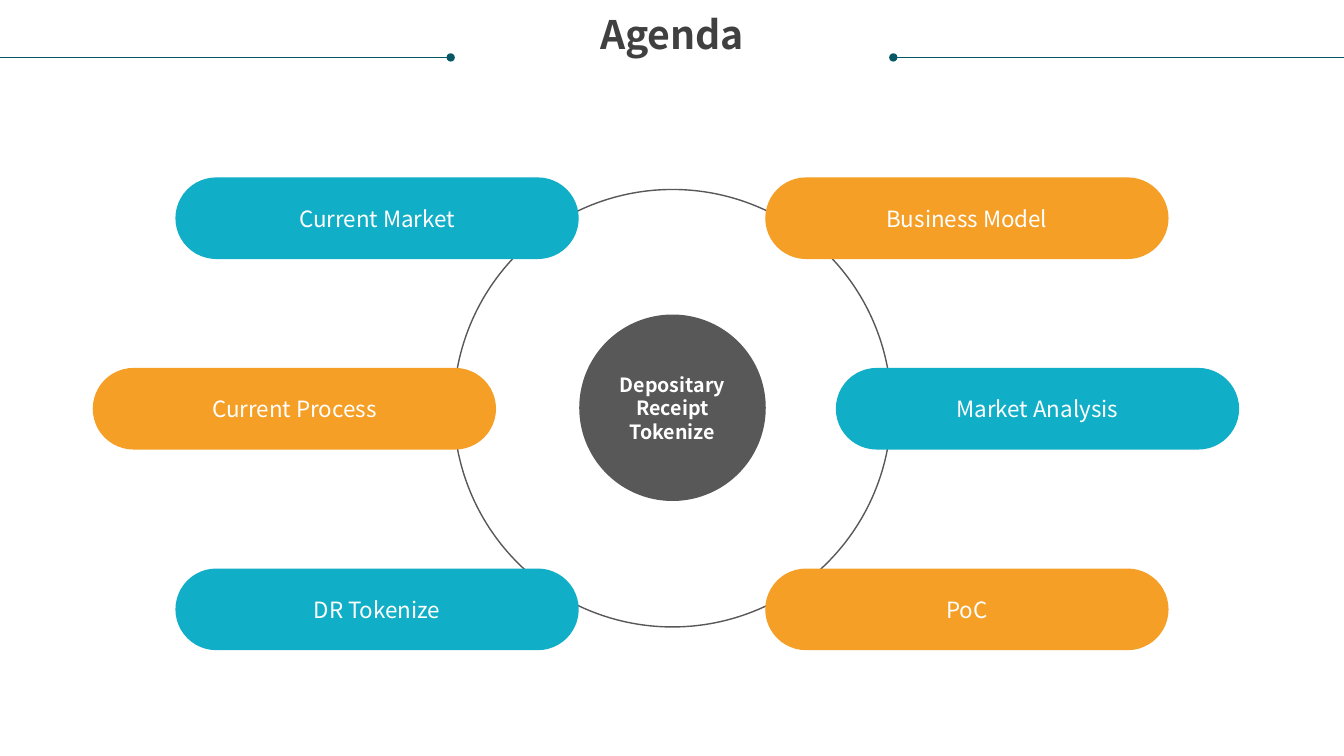
from dataclasses import dataclass

from pptx import Presentation
from pptx.dml.color import RGBColor
from pptx.enum import shapes, text
from pptx.oxml import ns, xmlchemy as xc
from pptx.util import Inches, Pt


@dataclass(frozen=True)
class Theme:
    """Colours, font and type sizes of the slide."""
    font: str = "Noto Sans CJK SC"
    title: str = "404040"
    rule: str = "085764"
    grey: str = "585858"
    teal: str = "11AEC7"
    orange: str = "F59F26"
    white: str = "FFFFFF"
    title_size: int = 28
    hub_size: int = 14
    pill_size: int = 16


THEME = Theme()
CENTRE_X = 6.67
PILL_W, PILL_H = 4, 0.81
ROWS = [
    (1.76, 1.74, 7.59, "Current Market", "Business Model"),
    (3.65, 0.92, 8.29, "Current Process", "Market Analysis"),
    (5.64, 1.74, 7.59, "DR Tokenize", "PoC"),
]


def write(tf, words, size, color, bold=False):
    """Put one centred, formatted line of words in a text frame."""
    tf.word_wrap = True
    p = tf.paragraphs[0]
    p.alignment = text.PP_ALIGN.CENTER
    r = p.add_run()
    r.text = words
    r.font.color.rgb = RGBColor.from_string(color)
    for name, value in {"name": THEME.font, "size": Pt(size), "bold": bold}.items():
        setattr(r.font, name, value)
    return p


def add_title(s, words):
    """Move and format the title placeholder."""
    sp = s.shapes.title
    box = {"left": 0.25, "top": 0.15, "width": 12.83, "height": 0.85}
    for name, value in box.items():
        setattr(sp, name, Inches(value))
    tf = sp.text_frame
    for side in ("left", "top", "right", "bottom"):
        setattr(tf, f"margin_{side}", 0)
    tf.vertical_anchor = text.MSO_ANCHOR.TOP
    tf.auto_size = text.MSO_AUTO_SIZE.NONE
    p = write(tf, words, THEME.title_size, THEME.title, True)
    p.line_spacing = 0.9


def add_shape(s, kind, x, y, w, h, fill=None, line=None):
    """Add a flat preset shape with an optional fill and outline."""
    sp = s.shapes.add_shape(kind, Inches(x), Inches(y), Inches(w), Inches(h))
    sp.shadow.inherit = False
    if fill:
        sp.fill.solid()
        sp.fill.fore_color.rgb = RGBColor.from_string(fill)
    else:
        sp.fill.background()
    if line:
        sp.line.color.rgb = RGBColor.from_string(line)
        sp.line.width = Pt(1)
    else:
        sp.line.fill.background()
    return sp


def add_circle(s, y, size, **style):
    """Add a circle on the slide's vertical centre line."""
    kind = shapes.MSO_SHAPE.OVAL
    return add_shape(s, kind, CENTRE_X - size / 2, y, size, size, **style)


def add_pill(s, x, y, words, fill):
    """Add a fully rounded agenda label."""
    kind = shapes.MSO_SHAPE.ROUNDED_RECTANGLE
    sp = add_shape(s, kind, x, y, PILL_W, PILL_H, fill=fill)
    sp.adjustments[0] = 0.5
    sp.text_frame.vertical_anchor = text.MSO_ANCHOR.MIDDLE
    write(sp.text_frame, words, THEME.pill_size, THEME.white)


def add_rule(s, edge, inner):
    """Add a title rule from the slide edge to a dot at its inner end."""
    y = Inches(0.57)
    cx = s.shapes.add_connector(
        shapes.MSO_CONNECTOR.STRAIGHT, Inches(edge), y, Inches(inner), y)
    cx.line.color.rgb = RGBColor.from_string(THEME.rule)
    cx.line.width = Pt(0.5)
    ln = cx.line._get_or_add_ln()
    tail = xc.OxmlElement("a:tailEnd")
    tail.set("type", "oval")
    ln.append(tail)
    cx._element.find(ns.qn("p:spPr")).append(xc.OxmlElement("a:effectLst"))


def main():
    """Build and save the agenda slide."""
    prs = Presentation()
    prs.slide_width, prs.slide_height = Inches(13.33), Inches(7.5)
    s = prs.slides.add_slide(prs.slide_layouts[5])
    add_circle(s, 1.88, 4.34, line=THEME.grey)
    add_title(s, "Agenda")
    add_rule(s, 0, 4.47)
    add_rule(s, 13.33, 8.86)
    hub = add_circle(s, 3.12, 1.85, fill=THEME.grey)
    hub.text_frame.vertical_anchor = text.MSO_ANCHOR.MIDDLE
    write(hub.text_frame, "Depositary Receipt Tokenize", THEME.hub_size, THEME.white, True)
    for i, (y, left, right, left_words, right_words) in enumerate(ROWS):
        fills = (THEME.teal, THEME.orange) if i % 2 == 0 else (THEME.orange, THEME.teal)
        add_pill(s, left, y, left_words, fills[0])
        add_pill(s, right, y, right_words, fills[1])
    prs.save("out.pptx")


if __name__ == "__main__":
    main()
